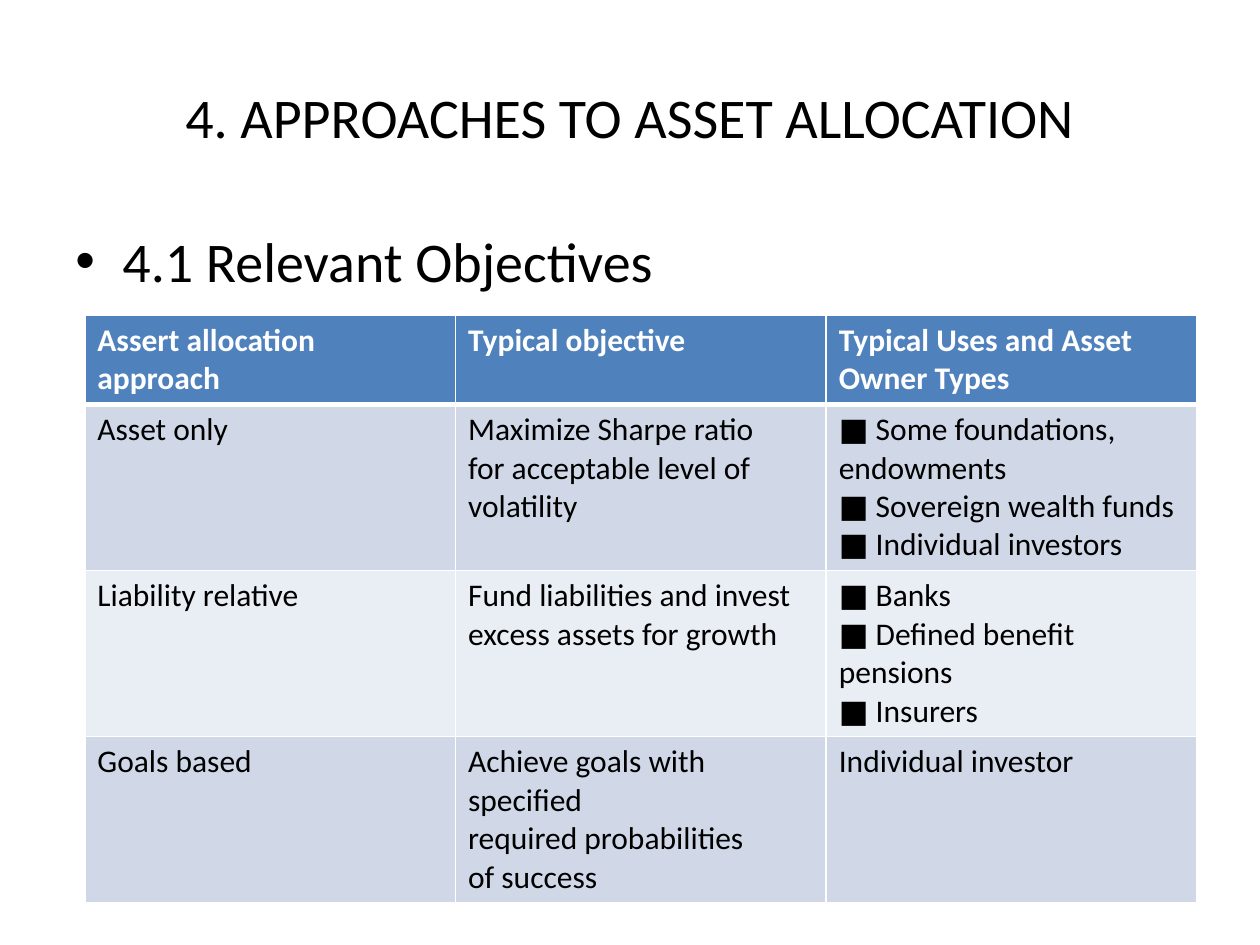
from lxml import etree
from pptx import Presentation
from pptx.dml.color import RGBColor
from pptx.enum.text import MSO_ANCHOR as Anchor, PP_ALIGN as Align
from pptx.oxml.ns import qn
from pptx.util import Cm, Pt

FONT = "Calibri"
BLACK, WHITE = "000000", "FFFFFF"
HEADER_FILL = "4F81BD"
BAND_FILLS = ("D0D8E8", "E9EDF4")

# One string per cell; each line is a paragraph
ROWS = [
    ("Assert allocation approach", "Typical objective",
     "Typical Uses and Asset\nOwner Types"),
    ("Asset only",
     "Maximize Sharpe ratio\nfor acceptable level of\nvolatility",
     "■ Some foundations,\nendowments\n■ Sovereign wealth funds\n■ Individual investors"),
    ("Liability relative",
     "Fund liabilities and invest\nexcess assets for growth",
     "■ Banks\n■ Defined benefit pensions\n■ Insurers"),
    ("Goals based",
     "Achieve goals with specified\nrequired probabilities\nof success",
     "Individual investor"),
]


def color(hex_value):
    return RGBColor.from_string(hex_value)


def write(frame, text, size, hex_value=BLACK, bold=False):
    frame.text = text
    for para in frame.paragraphs:
        font = para.font
        font.name, font.size, font.bold = FONT, Pt(size), bold
        font.color.rgb = color(hex_value)


def add_text(page, box, text, anchor):
    frame = page.shapes.add_textbox(*map(Cm, box)).text_frame
    frame.word_wrap = True
    frame.vertical_anchor = anchor
    write(frame, text, 32)
    return frame.paragraphs[0]


def add_title(page, box):
    para = add_text(page, box, "4. APPROACHES TO ASSET ALLOCATION", Anchor.MIDDLE)
    para.alignment = Align.CENTER


def add_bullet(page, box):
    para = add_text(page, box, "4.1 Relevant Objectives", Anchor.TOP)
    properties = para._p.get_or_add_pPr()
    indent = Cm(0.95)
    properties.set("marL", str(indent))
    properties.set("indent", str(-indent))
    bullet_font = etree.SubElement(properties, qn("a:buFont"))
    bullet_font.set("typeface", "Arial")
    etree.SubElement(properties, qn("a:buChar")).set("char", "•")


def add_borders(cell, widths):
    properties = cell._tc.get_or_add_tcPr()
    for side, width in widths.items():
        line = etree.SubElement(properties, qn(f"a:ln{side}"), w=str(Pt(width)))
        fill = etree.SubElement(line, qn("a:solidFill"))
        etree.SubElement(fill, qn("a:srgbClr"), val=WHITE)


def add_approaches_table(page, box, header_height):
    left, top, width, height = map(Cm, box)
    columns = len(ROWS[0])
    table = page.shapes.add_table(len(ROWS), columns, left, top, width, height).table
    for column in table.columns:
        column.width = width // columns
    body_height = (height - Cm(header_height)) // (len(ROWS) - 1)

    for r, texts in enumerate(ROWS):
        header = r == 0
        table.rows[r].height = Cm(header_height) if header else body_height
        for c, text in enumerate(texts):
            cell = table.cell(r, c)
            write(cell.text_frame, text, 18, WHITE if header else BLACK, header)
            # Heavier rule between the header and the body
            add_borders(cell, {"L": 1, "R": 1, "T": 3 if r == 1 else 1,
                               "B": 3 if header else 1})
            cell.fill.solid()
            cell.fill.fore_color.rgb = color(
                HEADER_FILL if header else BAND_FILLS[(r - 1) % 2])


def main():
    deck = Presentation()
    deck.slide_width, deck.slide_height = Cm(25.4), Cm(19.05)
    page = deck.slides.add_slide(deck.slide_layouts[6])
    add_title(page, (1.27, 0.76, 22.86, 3.18))
    add_bullet(page, (1.27, 4.45, 22.86, 12.57))
    add_approaches_table(page, (1.71, 6.35, 22.42, 11.85), header_height=1.8)
    deck.save("out.pptx")


if __name__ == "__main__":
    main()
